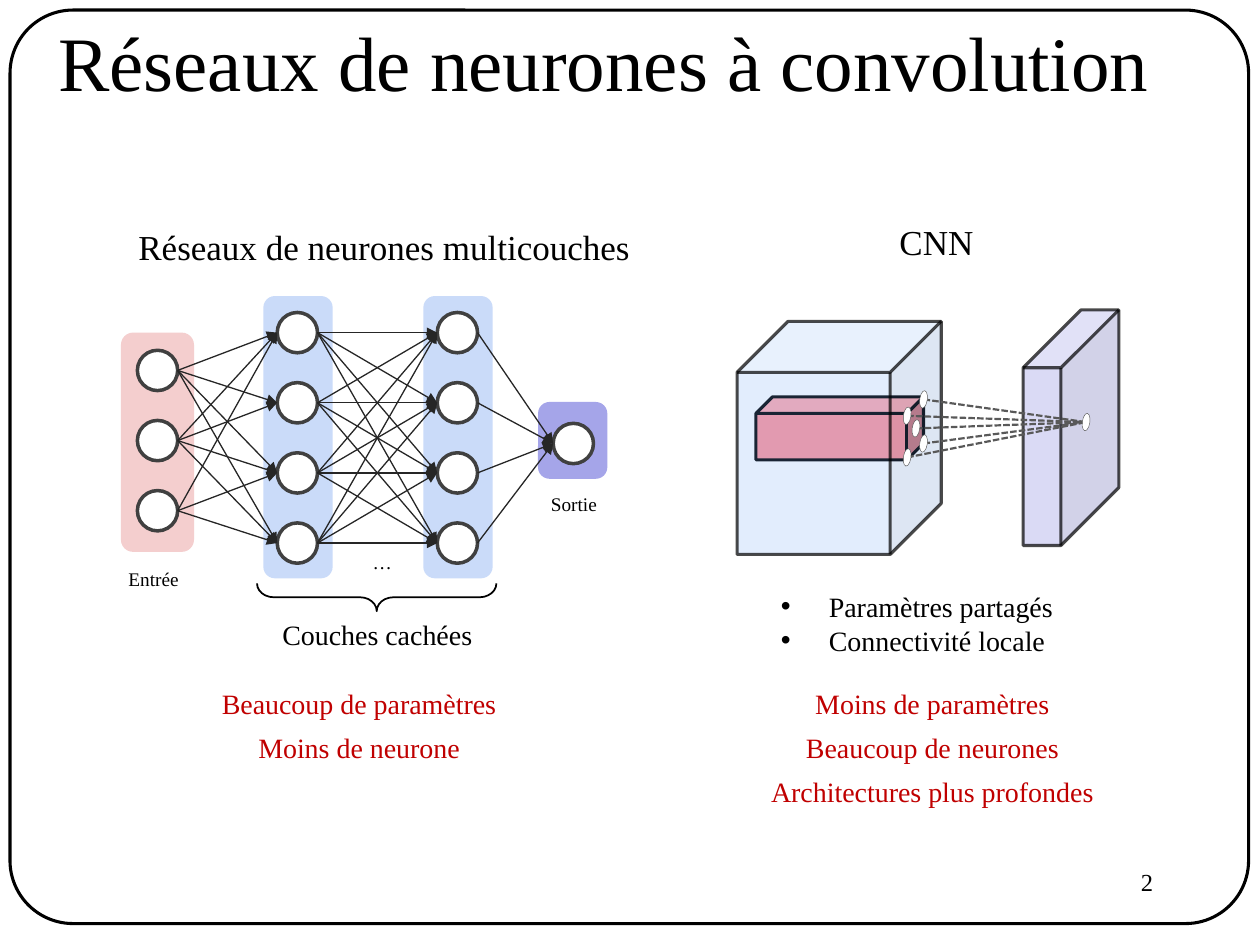
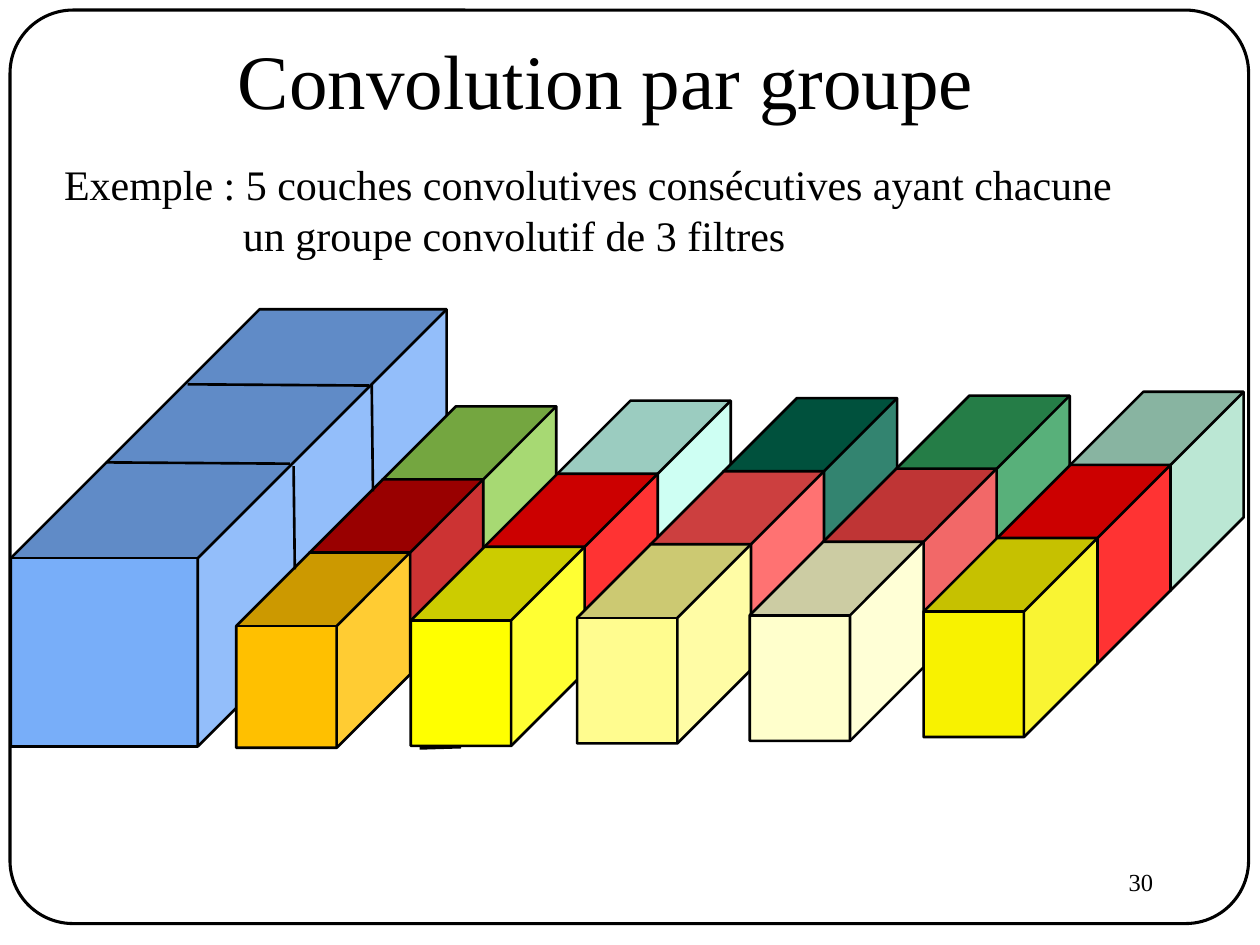
import pptx
import pptx.util
import pptx.dml.color
import pptx.enum.dml
import pptx.enum.shapes
import pptx.enum.text
import pptx.oxml
import pptx.oxml.ns
from lxml import etree

Inches = pptx.util.Inches
Pt = pptx.util.Pt
qn = pptx.oxml.ns.qn
SHAPE = pptx.enum.shapes.MSO_SHAPE
ALIGN = pptx.enum.text.PP_ALIGN
ANCHOR = pptx.enum.text.MSO_ANCHOR

FONT = "Times New Roman"
COLORS = {
    "black": "000000", "white": "FFFFFF", "conclusion": "C00000",
    "input": "F4CECE", "hidden": "CADBF9", "output": "A5A5E9",
    "neuron": "404040", "link": "262626", "projection": "595959",
    "volume": "78AEF9", "filter": "FF959D", "feature_map": "8585E0",
}


def add_text(page, lines, frame, size=16, color="black", align=ALIGN.LEFT, wrap=True,
             before=0, margin=0, hanging=0, bullet=None, title=False):
    """Write lines in the title or a new text box; margin and hanging are in inches."""
    box = page.shapes.title if title else page.shapes.add_textbox(0, 0, 0, 0)
    box.left, box.top, box.width, box.height = map(Inches, frame)
    text = box.text_frame
    text.word_wrap = wrap
    text.vertical_anchor = ANCHOR.MIDDLE if title else ANCHOR.TOP
    for index, line in enumerate(lines):
        para = text.paragraphs[0] if index == 0 else text.add_paragraph()
        para.alignment = align
        if index and before:
            para.space_before = Pt(before)
        if bullet:
            properties = para._p.get_or_add_pPr()
            properties.set("marL", str(Inches(margin)))
            properties.set("indent", str(Inches(-hanging)))
            etree.SubElement(properties, qn("a:buFont")).set("typeface", "Arial")
            etree.SubElement(properties, qn("a:buChar")).set("char", bullet)
        elif index and margin:
            para._p.get_or_add_pPr().set("marL", str(Inches(margin)))
        span = para.add_run()
        span.text = line
        span.font.name = FONT
        span.font.size = Pt(size)
        span.font.color.rgb = pptx.dml.color.RGBColor.from_string(COLORS[color])
    return box


def draw(page, kind, frame, fill=None, line=None, width=1.0, adjust=(), rotation=0,
         flip=False, fill_alpha=None, line_alpha=None, dash=None, arrow=False):
    """Draw a preset shape in (left, top, width, height), or, with kind None,
    a straight line along (x1, y1, x2, y2). Fill and line are hex strings."""
    places = [Inches(value) for value in frame]
    if kind is None:
        item = page.shapes.add_connector(pptx.enum.shapes.MSO_CONNECTOR.STRAIGHT, *places)
        etree.SubElement(item.element.spPr, qn("a:effectLst"))
    else:
        item = page.shapes.add_shape(kind, *places)
        item.shadow.inherit = False
        item.rotation = rotation
        for index, value in enumerate(adjust):
            item.adjustments[index] = value
        if flip:
            item.element.spPr.find(qn("a:xfrm")).set("flipV", "1")
        if fill:
            item.fill.solid()
            item.fill.fore_color.rgb = pptx.dml.color.RGBColor.from_string(fill)
        else:
            item.fill.background()
    if line:
        item.line.color.rgb = pptx.dml.color.RGBColor.from_string(line)
        item.line.width = Pt(width)
        if dash:
            item.line.dash_style = dash
    else:
        item.line.fill.background()
    properties = item.element.spPr
    outline = properties.find(qn("a:ln"))
    if arrow:
        etree.SubElement(outline, qn("a:tailEnd")).set("type", "triangle")
    for parent, alpha in ((properties, fill_alpha), (outline, line_alpha)):
        if alpha:
            color = parent.find(qn("a:solidFill")).find(qn("a:srgbClr"))
            etree.SubElement(color, qn("a:alpha")).set("val", str(alpha * 1000))
    return item


deck = pptx.Presentation()
deck.slide_width, deck.slide_height = Inches(10), Inches(7.5)
title_only = deck.slide_layouts[5]

titles = [
    ("Réseaux de neurones à convolution", (0.34, -0.14, 8.91, 1.25), "2"),
    ("Convolution par groupe", (0.56, 0, 8.5, 1.25), "30"),
]
pages = []
for title, frame, number in titles:
    page = deck.slides.add_slide(title_only)
    add_text(page, [title], frame, size=44, align=ALIGN.CENTER, title=True)
    add_text(page, [number], (7.17, 6.83, 2.08, 0.5), size=14, align=ALIGN.RIGHT)
    pages.append(page)
networks, groups = pages

# The rounded border belongs to the master, behind everything
border = draw(networks, SHAPE.ROUNDED_RECTANGLE, (0.08, 0.08, 9.83, 7.25),
              line=COLORS["black"], width=1.75, adjust=[0.069])
border.element.nvSpPr.cNvPr.set("id", "20")
deck.slide_master.shapes.element.insert(2, border.element)

# Slide 1: texts
add_text(networks, ["Réseaux de neurones multicouches"], (1, 1.74, 4.14, 0.44), size=20, wrap=False)
add_text(networks, ["CNN"], (7.04, 1.7, 0.81, 0.44), size=20, wrap=False)
add_text(networks, ["Paramètres partagés", "Connectivité locale"], (6.1, 4.63, 2.4, 0.64),
         wrap=False, margin=0.38, hanging=0.38, bullet="•")
conclusions = [
    (["Beaucoup de paramètres", "Moins de neurone"], (1.6, 5.4, 2.5, 0.72)),
    (["Moins de paramètres", "Beaucoup de neurones", "Architectures plus profondes"],
     (6, 5.4, 2.8, 1.08)),
]
for lines, frame in conclusions:
    add_text(networks, lines, frame, color="conclusion", align=ALIGN.CENTER, wrap=False, before=6)

# Slide 1: multilayer network (band, band colour, neuron centre x, first centre y, count)
layers = [
    ((0.96, 2.64, 0.58, 1.74), "input", 1.25, 2.94, 3),
    ((2.09, 2.35, 0.55, 2.24), "hidden", 2.36, 2.64, 4),
    ((3.36, 2.35, 0.55, 2.24), "hidden", 3.63, 2.64, 4),
    ((4.27, 3.19, 0.55, 0.61), "output", 4.55, 3.52, 1),
]
radius = 0.16
neuron_gap = 1.67 / 3
columns = []
for band, color, x, first_y, count in layers:
    draw(networks, SHAPE.ROUNDED_RECTANGLE, band, fill=COLORS[color])
    columns.append([(x, first_y + row * neuron_gap) for row in range(count)])
    for x, y in columns[-1]:
        draw(networks, SHAPE.OVAL, (x - radius, y - radius, 2 * radius, 2 * radius),
             fill=COLORS["white"], line=COLORS["neuron"], width=2)

missing_link = (0, 2, 1)
for layer, (sources, targets) in enumerate(zip(columns, columns[1:])):
    for start, (x1, y1) in enumerate(sources):
        for end, (x2, y2) in enumerate(targets):
            if (layer, start, end) != missing_link:
                draw(networks, None, (x1 + radius, y1, x2 - radius, y2),
                     line=COLORS["link"], width=0.75, arrow=True)

captions = [
    ("Entrée", (0.85, 4.45, 0.74, 0.29), 11),
    ("Couches cachées", (1.86, 4.85, 2.27, 0.37), 16),
    ("…", (2.67, 4.32, 0.73, 0.29), 11),
    ("Sortie", (4.13, 3.86, 0.85, 0.29), 11),
]
for caption, frame, size in captions:
    add_text(networks, [caption], frame, size=size, align=ALIGN.CENTER)
draw(networks, SHAPE.LEFT_BRACE, (2.88, 3.79, 0.22, 1.9), line=COLORS["black"],
     adjust=[0.603, 0.5], rotation=270)

# Slide 1: convolution volumes
volumes = [
    ((8.12, 2.46, 0.76, 1.87), 0.605, "feature_map", 30, 71),
    ((6, 3.15, 1.33, 0.5), 0.263, "filter", None, None),
    ((5.85, 2.55, 1.62, 1.85), 0.25, "volume", 21, 71),
]
for frame, depth, color, fill_alpha, line_alpha in volumes:
    draw(networks, SHAPE.CUBE, frame, fill=COLORS[color], line=COLORS["black"], width=1.75,
         adjust=[depth], fill_alpha=fill_alpha, line_alpha=line_alpha)

target = (8.62, 3.35)
samples = [(7.2, 3.3), (7.33, 3.17), (7.2, 3.63), (7.33, 3.52), (7.27, 3.4)]
for sample in samples:
    draw(networks, None, sample + target, line=COLORS["projection"], width=1.25,
         dash=pptx.enum.dml.MSO_LINE.SQUARE_DOT)
for x, y in samples + [target]:
    draw(networks, SHAPE.OVAL, (x - 0.03, y - 0.07, 0.06, 0.14), fill=COLORS["white"],
         line=COLORS["projection"], width=0.25, rotation=8)

# Slide 2: example and input volume
add_text(groups, ["Exemple : 5 couches convolutives consécutives ayant chacune",
                  "un groupe convolutif de 3 filtres"],
         (0.41, 1.21, 8.59, 0.91), size=24, wrap=False, margin=1.42)
cube_style = dict(line=COLORS["black"], width=1.5, rotation=270, flip=True)
draw(groups, SHAPE.CUBE, (0.08, 2.46, 3.47, 3.46), fill=COLORS["volume"],
     adjust=[0.571], **cube_style)
draw(groups, None, (3.66, 5.93, 3.33, 5.94), line=COLORS["black"], width=1.5)

# Slide 2: one column per layer, its three filters from back to front
filter_groups = [
    (2.95, 3.31, 1.55, ["92D050", "C00000", "FFC000"]),
    (4.32, 3.28, 1.58, ["C2FFF0", "FF0000", "FFFF00"]),
    (5.64, 3.26, 1.58, ["00664D", "FF4F4F", "FFFC8F"]),
    (7.01, 3.24, 1.58, ["2F9D59", "EF4343", "FFFFCC"]),
    (8.39, 3.21, 1.58, ["AAE2CA", "FF0000", "F8F200"]),
]
filter_step = 0.58
for left, top, length, fills in filter_groups:
    for row, fill in enumerate(fills):
        shift = row * filter_step
        draw(groups, SHAPE.CUBE, (left - shift, top + shift, length, 1.38), fill=fill,
             adjust=[0.423], **cube_style)

# Slide 2: cuts of the input volume into three parts
cuts = [(0.84, 3.67, 2.3, 3.68), (1.49, 3.05, 2.93, 3.06),
        (2.95, 3.05, 2.96, 3.9), (2.33, 3.7, 2.34, 4.52)]
for cut in cuts:
    draw(groups, None, cut, line=COLORS["black"], width=1.5)

deck.save("out.pptx")
